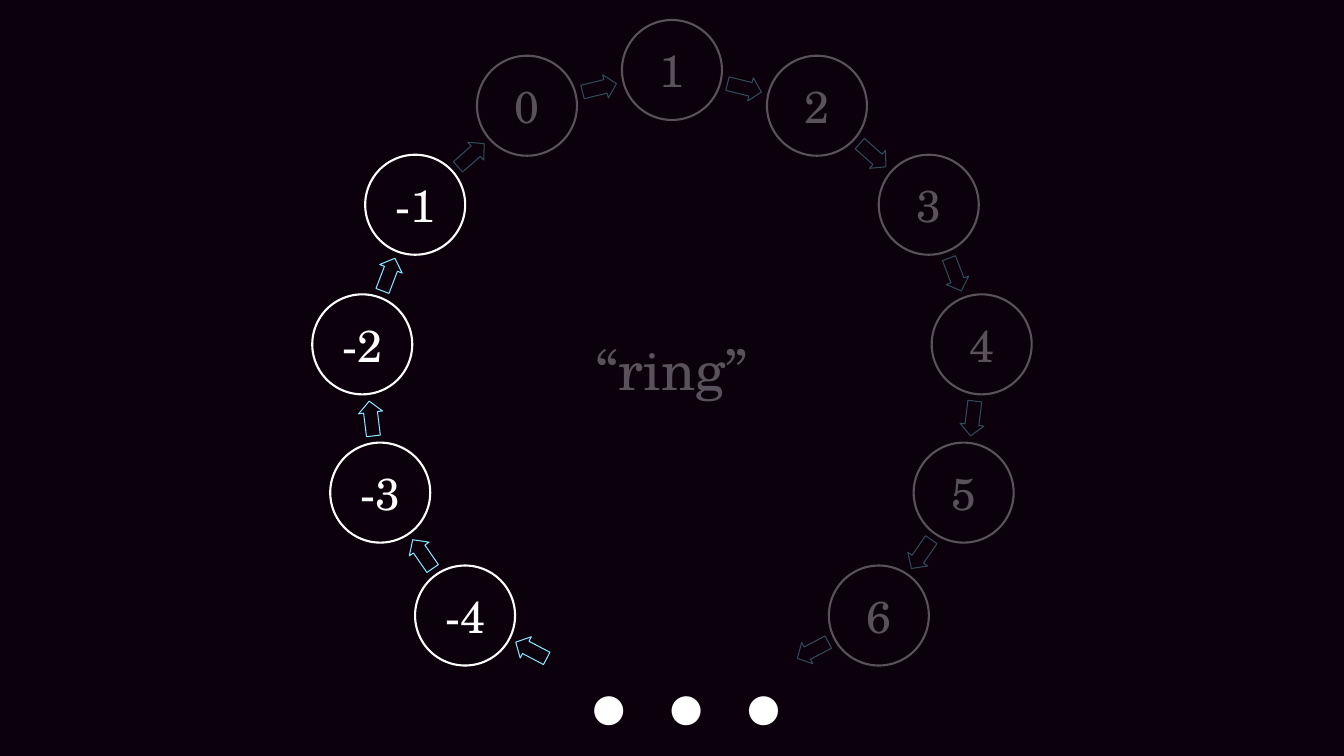
import math
from dataclasses import dataclass

from lxml import etree
from pptx import Presentation
from pptx import util as u
from pptx.dml.color import RGBColor
from pptx.enum import shapes, text
from pptx.oxml import ns

EMU_PER_PX = 914400 / 100.8
SLIDE_W, SLIDE_H = 1344, 756
RING_X, RING_Y, RING_RADIUS = 672, 382, 312
RING_SLOTS = 13
STEP = 360 / RING_SLOTS
NODE_SIZE = 100
ARROW_W, ARROW_H = 35, 24
VEIL_OUTLINE = [(0, 0), (873, 0), (873, 838), (543, 838),
                (417, 1018), (268, 918), (321, 838), (0, 838)]


@dataclass(frozen=True)
class Theme:
    font: str = "TeX Gyre Schola"
    background: RGBColor = RGBColor(0x0C, 0x00, 0x0C)
    ink: RGBColor = RGBColor(0xFF, 0xFF, 0xFF)
    arrow: RGBColor = RGBColor(0x87, 0xE8, 0xFF)
    node_size: int = 32
    label_size: int = 40
    dots_size: int = 166
    node_line: float = 1.5
    arrow_line: float = 0.75


THEME = Theme()


def px(value):
    return u.Emu(round(value * EMU_PER_PX))


def box(x, y, w, h):
    return px(x), px(y), px(w), px(h)


def ring_point(angle, radius):
    a = math.radians(angle)
    return RING_X + radius * math.sin(a), RING_Y - radius * math.cos(a)


def put_text(sp, content, size, align=text.PP_ALIGN.LEFT,
             anchor=text.MSO_ANCHOR.TOP, grow=False):
    tf = sp.text_frame
    tf.word_wrap = False
    tf.vertical_anchor = anchor
    if grow:
        tf.auto_size = text.MSO_AUTO_SIZE.SHAPE_TO_FIT_TEXT
    p = tf.paragraphs[0]
    p.alignment = align
    r = p.add_run()
    r.text = content
    r.font.name = THEME.font
    r.font.size = u.Pt(size)
    r.font.color.rgb = THEME.ink


def add_centred(s, kind, centre, w, h, line, line_width):
    x, y = centre
    sp = s.shapes.add_shape(kind, *box(x - w / 2, y - h / 2, w, h))
    sp.shadow.inherit = False
    sp.fill.solid()
    sp.fill.fore_color.rgb = THEME.background
    sp.line.color.rgb = line
    sp.line.width = u.Pt(line_width)
    return sp


def add_node(s, number):
    centre = ring_point((number - 1) * STEP, RING_RADIUS)
    sp = add_centred(s, shapes.MSO_SHAPE.OVAL, centre, NODE_SIZE, NODE_SIZE,
                     THEME.ink, THEME.node_line)
    put_text(sp, str(number), THEME.node_size,
             align=text.PP_ALIGN.CENTER, anchor=text.MSO_ANCHOR.MIDDLE)


def add_arrow(s, next_number):
    angle = (next_number - 1.5) * STEP
    chord_radius = RING_RADIUS * math.cos(math.radians(STEP / 2))
    sp = add_centred(s, shapes.MSO_SHAPE.RIGHT_ARROW,
                     ring_point(angle, chord_radius), ARROW_W, ARROW_H,
                     THEME.arrow, THEME.arrow_line)
    sp.adjustments[0] = 0.58
    sp.adjustments[1] = 0.47
    sp.rotation = angle % 360


def add_label(s, content, place, size):
    sp = s.shapes.add_textbox(*box(*place))
    put_text(sp, content, size, grow=True)


def add_veil(s, x, y, rotation, opacity):
    builder = s.shapes.build_freeform(*VEIL_OUTLINE[0], scale=EMU_PER_PX)
    builder.add_line_segments(VEIL_OUTLINE[1:], close=True)
    sp = builder.convert_to_shape(px(x), px(y))
    sp.shadow.inherit = False
    sp.rotation = rotation
    sp.line.fill.background()
    sp.fill.solid()
    sp.fill.fore_color.rgb = THEME.background
    colour = sp.fill._xPr.find(ns.qn("a:solidFill"))[0]
    etree.SubElement(colour, ns.qn("a:alpha")).set("val", str(opacity * 1000))


def main():
    prs = Presentation()
    prs.slide_width, prs.slide_height = px(SLIDE_W), px(SLIDE_H)
    s = prs.slides.add_slide(prs.slide_layouts[6])
    s.background.fill.solid()
    s.background.fill.fore_color.rgb = THEME.background

    for number in range(-4, 7):
        add_arrow(s, number)
        add_node(s, number)
    add_arrow(s, 7)

    add_label(s, "“ring”", (587, 330, 171, 77), THEME.label_size)
    add_label(s, "…", (561, 485, 232, 291), THEME.dots_size)
    add_veil(s, 462, -280, rotation=55.2, opacity=68)
    prs.save("out.pptx")


if __name__ == "__main__":
    main()
